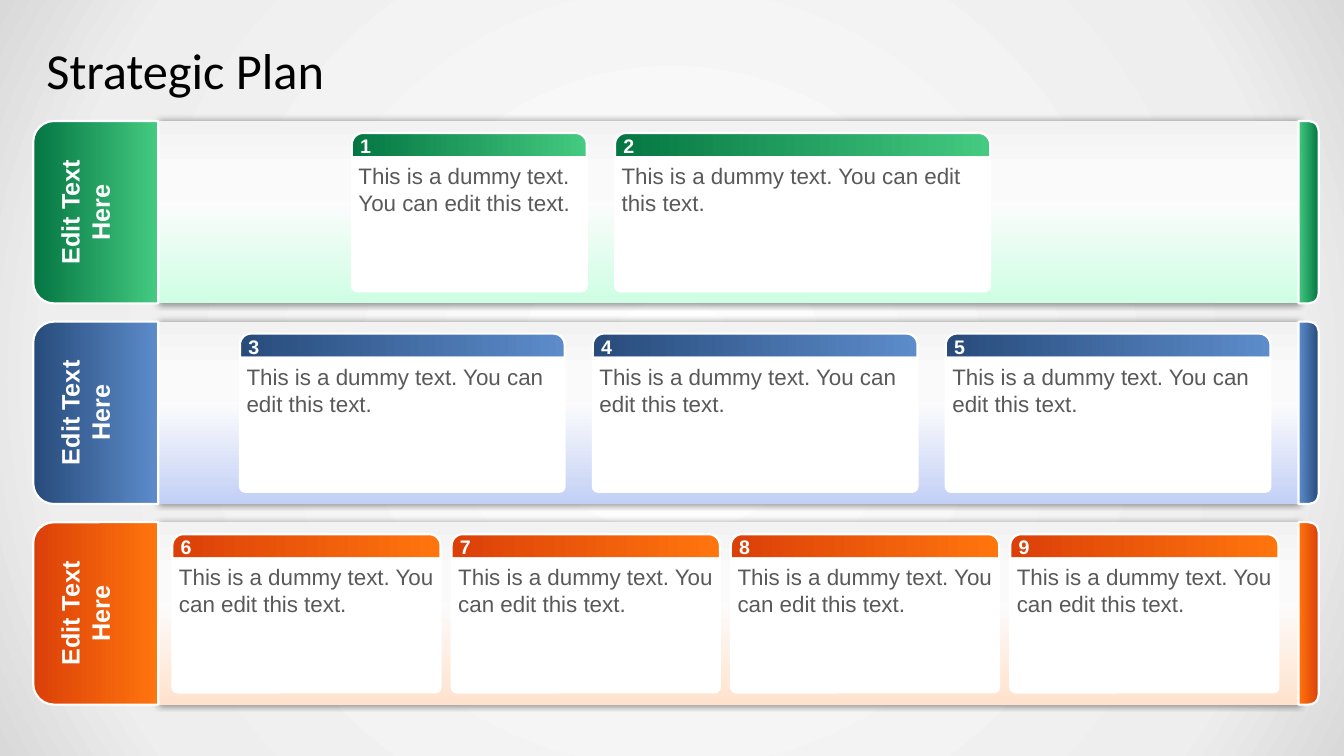
from dataclasses import dataclass

from pptx import Presentation
from pptx.dml.color import RGBColor
from pptx.enum.shapes import MSO_SHAPE as Preset
from pptx.enum.text import MSO_ANCHOR as Anchor, PP_ALIGN as Align
from pptx.oxml import parse_xml
from pptx.oxml.ns import nsdecls, qn
from pptx.util import Inches, Pt

# Content: each lane's cards follow one another from "start" with an equal gap
TITLE = "Strategic Plan"
LABEL = "Edit Text Here"
BODY = "This is a dummy text. You can edit this text."
LANES = [
    {"dark": "047642", "light": "44CA81", "tint": "CEFEE3",
     "start": 3.49, "gap": 0.28, "widths": [2.33, 3.72]},
    {"dark": "274B7B", "light": "5D8CCB", "tint": "C3D0F5",
     "start": 2.38, "gap": 0.28, "widths": [3.22] * 3},
    {"dark": "DB4009", "light": "FF750D", "tint": "FFE2CD",
     "start": 1.71, "gap": 0.11, "widths": [2.66] * 4},
]


@dataclass(frozen=True)
class Theme:
    title_font: str = "Calibri"
    font: str = "Arial"
    title_size: int = 36
    label_size: int = 18
    number_size: int = 14
    body_size: int = 16
    black: str = "000000"
    white: str = "FFFFFF"
    grey: str = "595959"
    outline: float = 1.5
    background: tuple = ((0, "FFFFFF"), (81, "EEEEEE"), (100, "D9D9D9"))
    band: tuple = ((0, "F2F2F2"), (28, "FAFAFA"), (44, "FCFCFC"))


THEME = Theme()

# Grid, in inches
SLIDE_WIDTH, SLIDE_HEIGHT = 13.33, 7.5
MARGIN = 0.33
LANE_TOP, LANE_HEIGHT, LANE_PITCH = 1.2, 1.81, 1.99
TAB_WIDTH, BAND_WIDTH, CAP_WIDTH = 1.24, 11.31, 0.2
BAND_LEFT = MARGIN + TAB_WIDTH
CARD_INSET, HEADER_HEIGHT, BODY_HEIGHT = 0.12, 0.24, 1.33


def set_gradient(fill, holder, stops, angle=None):
    """Fill with a linear gradient, or a circular one when no angle is given."""
    if angle is None:
        direction = ('<a:path path="circle"><a:fillToRect l="50000" t="50000" '
                     'r="50000" b="50000"/></a:path>')
    else:
        direction = f'<a:lin ang="{angle * 60000}" scaled="0"/>'
    marks = "".join(
        f'<a:gs pos="{position * 1000}"><a:srgbClr val="{color}"/></a:gs>'
        for position, color in stops)
    fill.solid()
    holder.replace(holder.find(qn("a:solidFill")), parse_xml(
        f'<a:gradFill {nsdecls("a")} rotWithShape="1"><a:gsLst>{marks}</a:gsLst>'
        f'{direction}</a:gradFill>'))


def add_panel(shapes, preset, box, stops=None, angle=0, corners=(), outlined=True):
    shape = shapes.add_shape(preset, *(Inches(length) for length in box))
    shape.shadow.inherit = False
    for index, corner in enumerate(corners):
        shape.adjustments[index] = corner
    if stops:
        set_gradient(shape.fill, shape._element.spPr, stops, angle)
    else:
        shape.fill.solid()
        shape.fill.fore_color.rgb = RGBColor.from_string(THEME.white)
    if outlined:
        shape.line.color.rgb = RGBColor.from_string(THEME.white)
        shape.line.width = Pt(THEME.outline)
    else:
        shape.line.fill.background()
    return shape


def write(shape, text, size, color, insets, font=THEME.font, bold=False,
          align=Align.LEFT, anchor=Anchor.TOP):
    frame = shape.text_frame
    frame.text = text
    frame.word_wrap = True
    frame.vertical_anchor = anchor
    (frame.margin_left, frame.margin_top,
     frame.margin_right, frame.margin_bottom) = (Inches(inset) for inset in insets)
    paragraph = frame.paragraphs[0]
    paragraph.alignment = align
    run_font = paragraph.runs[0].font
    run_font.name, run_font.size, run_font.bold = font, Pt(size), bold
    run_font.color.rgb = RGBColor.from_string(color)


def turned_box(left, top, width, height):
    """Unrotated box of a shape that covers the given area after a quarter turn."""
    shift = (height - width) / 2
    return left - shift, top + shift, height, width


def add_lane(slide, top, lane):
    stops = ((0, lane["dark"]), (100, lane["light"]))

    # Band with a soft shadow
    band = add_panel(slide.shapes, Preset.RECTANGLE,
                     (BAND_LEFT, top, BAND_WIDTH, LANE_HEIGHT),
                     (*THEME.band, (100, lane["tint"])), 90, outlined=False)
    band._element.spPr.find(qn("a:effectLst")).append(parse_xml(
        f'<a:outerShdw {nsdecls("a")} blurRad="{Pt(5)}" dist="0" dir="0" '
        f'algn="ctr" rotWithShape="0"><a:srgbClr val="{THEME.black}">'
        '<a:alpha val="40000"/></a:srgbClr></a:outerShdw>'))

    # Right cap
    cap = add_panel(slide.shapes, Preset.ROUND_2_SAME_RECTANGLE,
                    turned_box(BAND_LEFT + BAND_WIDTH, top, CAP_WIDTH, LANE_HEIGHT),
                    stops, 90, (0.5, 0))
    cap.rotation = 90
    cap._element.spPr.find(qn("a:xfrm")).set("flipH", "1")

    # Left tab
    tab = add_panel(slide.shapes, Preset.ROUND_2_SAME_RECTANGLE,
                    turned_box(MARGIN, top, TAB_WIDTH, LANE_HEIGHT), stops, 90)
    tab.rotation = 270
    write(tab, LABEL, THEME.label_size, THEME.white, (0.1, 0.15, 0.1, 0.05),
          bold=True, align=Align.CENTER)


def add_card(slide, left, top, width, number, lane):
    group = slide.shapes.add_group_shape()
    header = add_panel(group.shapes, Preset.ROUND_2_SAME_RECTANGLE,
                       (left, top, width, HEADER_HEIGHT),
                       ((0, lane["dark"]), (100, lane["light"])), 0, (0.46, 0))
    write(header, str(number), THEME.number_size, THEME.white,
          (0.05, 0.03, 0.1, 0.05), bold=True, anchor=Anchor.MIDDLE)
    body = add_panel(group.shapes, Preset.ROUND_2_SAME_RECTANGLE,
                     (left, top + HEADER_HEIGHT, width, BODY_HEIGHT),
                     corners=(0, 0.04))
    write(body, BODY, THEME.body_size, THEME.grey, (0.05,) * 4)


def main():
    presentation = Presentation()
    presentation.slide_width = Inches(SLIDE_WIDTH)
    presentation.slide_height = Inches(SLIDE_HEIGHT)
    slide = presentation.slides.add_slide(presentation.slide_layouts[5])

    # Background
    fill = slide.background.fill
    fill.solid()
    set_gradient(fill, slide._element.find(".//" + qn("p:bgPr")), THEME.background)

    # Title
    title = slide.shapes.title
    title.left, title.top = Inches(MARGIN), Inches(0.3)
    title.width, title.height = Inches(SLIDE_WIDTH - 1), Inches(0.78)
    write(title, TITLE, THEME.title_size, THEME.black, (0.13, 0.07, 0.13, 0.07),
          font=THEME.title_font, anchor=Anchor.MIDDLE)

    # Lanes and their numbered cards
    number = 1
    for row, lane in enumerate(LANES):
        top = LANE_TOP + row * LANE_PITCH
        add_lane(slide, top, lane)
        left = lane["start"]
        for width in lane["widths"]:
            add_card(slide, left, top + CARD_INSET, width, number, lane)
            left += width + lane["gap"]
            number += 1

    presentation.save("out.pptx")


if __name__ == "__main__":
    main()
